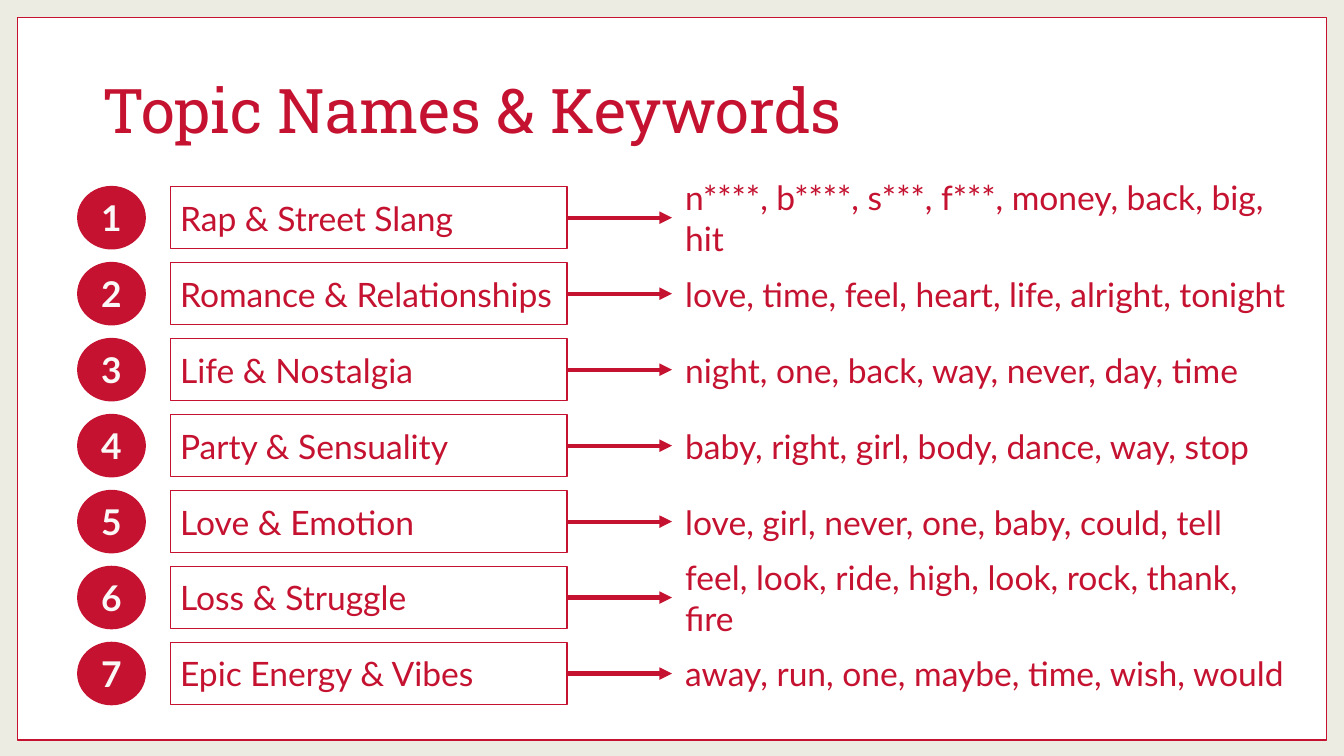
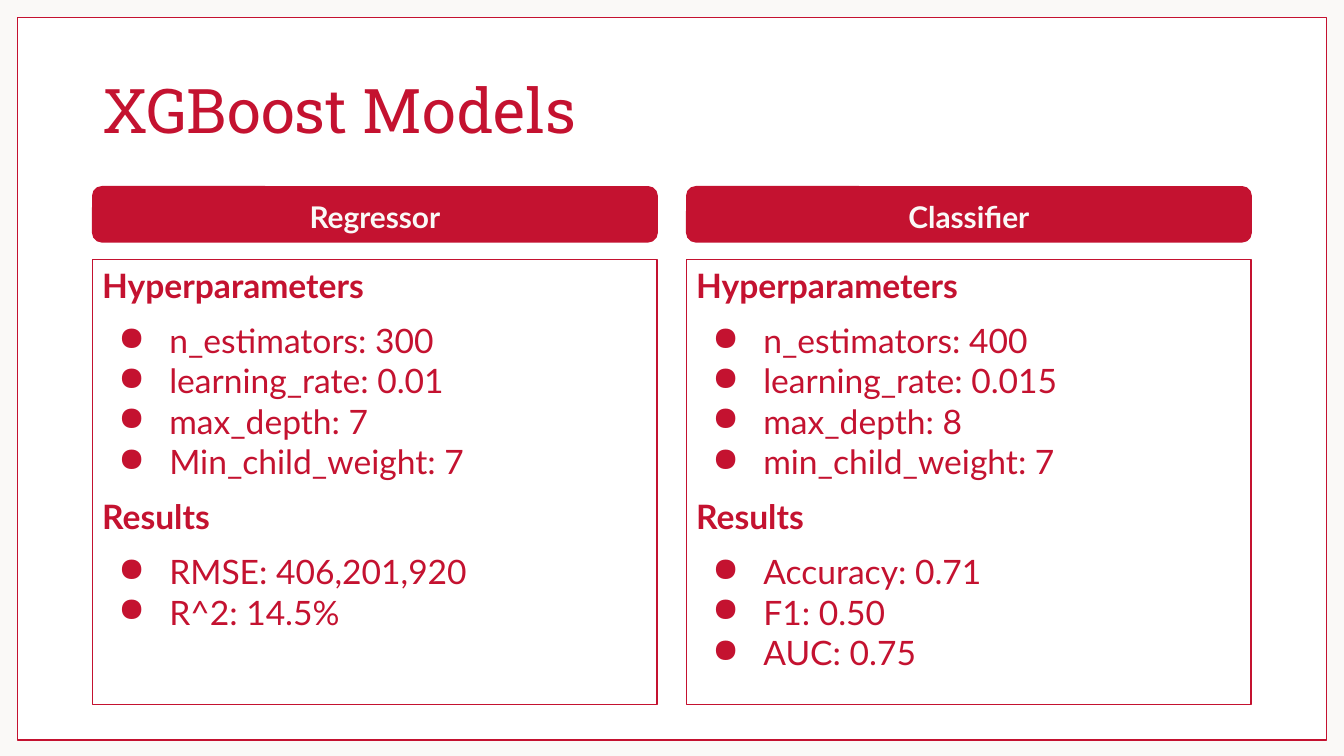
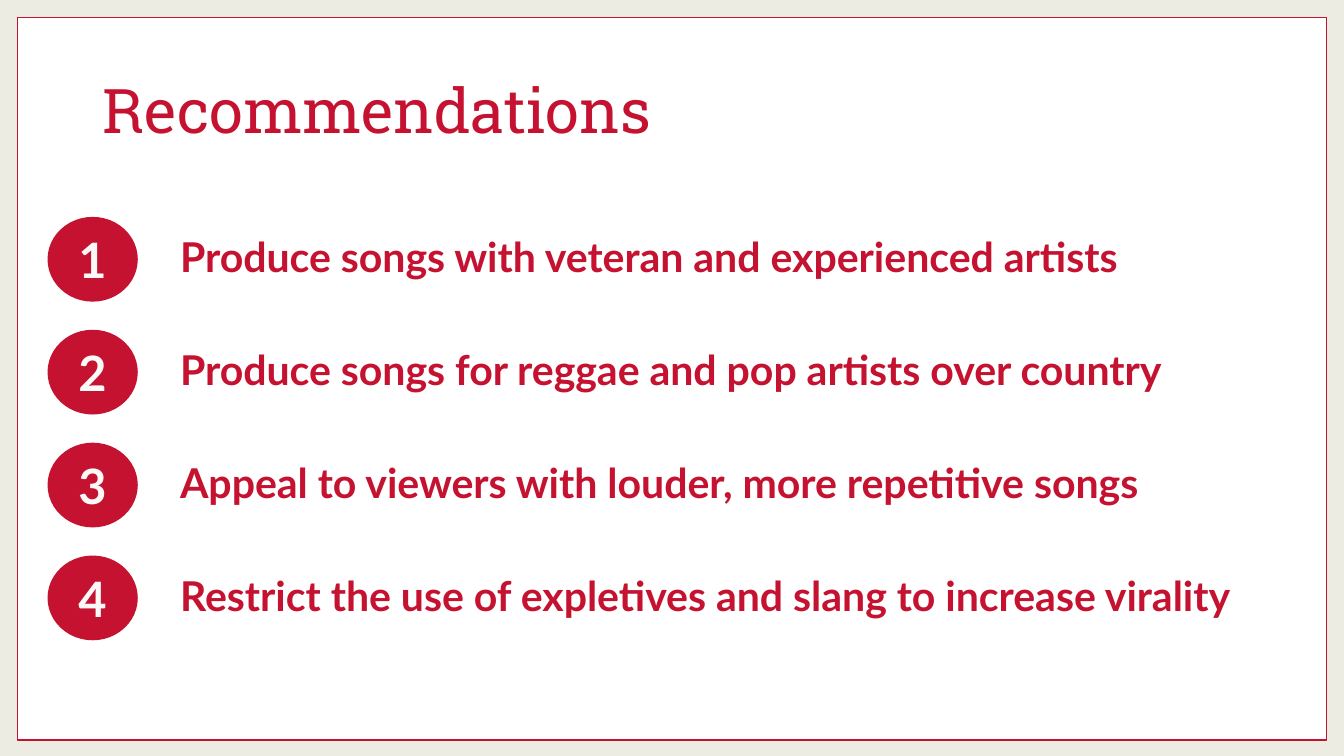
"""Build three slides on song topics, models and recommendations."""
from collections import namedtuple

from lxml import etree
from pptx import Presentation
from pptx import util as u
from pptx.dml.color import RGBColor
from pptx.enum import shapes, text
from pptx.oxml import ns

COLORS = {"red": "C41230", "white": "FFFFFF", "cream": "FAF9F7", "sand": "EDECE2"}
FONTS = {"title": "Roboto Slab", "body": "Lato"}
WIDTH = u.Inches(10)
HEIGHT = WIDTH * 9 // 16
COL, ROW = WIDTH / 100, HEIGHT / 100
SLIM = (0.07, 0.04)

Box = namedtuple("Box", "x y w h")
FRAME = Box(1.3, 2.3, 97.4, 95.6)
TITLE = Box(6.9, 5.3, 86.2, 19.4)
TOPIC_AREA = Box(5.8, 24.7, 91.5, 68.5)
MODEL_AREA = Box(6.9, 24.7, 86.2, 68.5)
ADVICE_AREA = Box(3.6, 28.8, 93.6, 55.8)

TOPICS = [
    ("Rap & Street Slang", "n****, b****, s***, f***, money, back, big, hit"),
    ("Romance & Relationships", "love, time, feel, heart, life, alright, tonight"),
    ("Life & Nostalgia", "night, one, back, way, never, day, time"),
    ("Party & Sensuality", "baby, right, girl, body, dance, way, stop"),
    ("Love & Emotion", "love, girl, never, one, baby, could, tell"),
    ("Loss & Struggle", "feel, look, ride, high, look, rock, thank, fire"),
    ("Epic Energy & Vibes", "away, run, one, maybe, time, wish, would"),
]
MODELS = {
    "Regressor": {
        "Hyperparameters": ["n_estimators: 300", "learning_rate: 0.01",
                            "max_depth: 7", "Min_child_weight: 7"],
        "Results": ["RMSE: 406,201,920", "R^2: 14.5%"],
    },
    "Classifier": {
        "Hyperparameters": ["n_estimators: 400", "learning_rate: 0.015",
                            "max_depth: 8", "min_child_weight: 7"],
        "Results": ["Accuracy: 0.71", "F1: 0.50", "AUC: 0.75"],
    },
}
ADVICE = [
    "Produce songs with veteran and experienced artists",
    "Produce songs for reggae and pop artists over country",
    "Appeal to viewers with louder, more repetitive songs",
    "Restrict the use of expletives and slang to increase virality",
]


def rgb(name):
    """Return the named colour."""
    return RGBColor.from_string(COLORS[name])


def emu(box):
    """Turn grid columns and rows into slide lengths."""
    return [round(n * unit) for n, unit in zip(box, (COL, ROW, COL, ROW))]


def split_rows(box, n, gap):
    """Divide a box into n equal rows."""
    h = (box.h - gap * (n - 1)) / n
    return [Box(box.x, box.y + i * (h + gap), box.w, h) for i in range(n)]


def split_cols(box, n, gap):
    """Divide a box into n equal columns."""
    w = (box.w - gap * (n - 1)) / n
    return [Box(box.x + i * (w + gap), box.y, w, box.h) for i in range(n)]


def add_box(slide, box, kind=shapes.MSO_SHAPE.RECTANGLE, fill=None, width=0.75):
    """Add a red-outlined shape, filled when a colour is named."""
    sp = slide.shapes.add_shape(kind, *emu(box))
    sp.shadow.inherit = False
    if fill:
        sp.fill.solid()
        sp.fill.fore_color.rgb = rgb(fill)
    else:
        sp.fill.background()
    sp.line.color.rgb = rgb("red")
    sp.line.width = u.Pt(width)
    return sp


def set_frame(sp, insets=SLIM, anchor=text.MSO_ANCHOR.MIDDLE):
    """Set wrapping, insets and anchor, and return the text frame."""
    tf = sp.text_frame
    tf.word_wrap = True
    tf.margin_left = tf.margin_right = u.Inches(insets[0])
    tf.margin_top = tf.margin_bottom = u.Inches(insets[1])
    tf.vertical_anchor = anchor
    return tf


def write(p, words, size, color="red", bold=False, font="body",
          align=text.PP_ALIGN.LEFT, before=0, spacing=1.0):
    """Fill a paragraph with one styled run."""
    p.alignment = align
    p.space_before = u.Pt(before)
    p.line_spacing = spacing
    r = p.add_run()
    r.text = words
    r.font.name = FONTS[font]
    r.font.size = u.Pt(size)
    r.font.bold = bold
    r.font.color.rgb = rgb(color)


def add_label(slide, box, words, size, insets, **style):
    """Add a plain text box with one paragraph."""
    sp = slide.shapes.add_textbox(*emu(box))
    write(set_frame(sp, insets).paragraphs[0], words, size, **style)
    return sp


def add_badge(slide, box, number, size, inset):
    """Add a numbered red ellipse."""
    sp = add_box(slide, box, shapes.MSO_SHAPE.OVAL, "red", 0.85)
    write(set_frame(sp, (inset, inset)).paragraphs[0], str(number), size,
          "cream", True, align=text.PP_ALIGN.CENTER)


def add_arrow(slide, start, end):
    """Join the right side of one shape to the left side of another."""
    sp = slide.shapes.add_connector(shapes.MSO_CONNECTOR.STRAIGHT, 0, 0, 0, 0)
    sp.begin_connect(start, 3)
    sp.end_connect(end, 1)
    sp.line.color.rgb = rgb("red")
    sp.line.width = u.Pt(2.25)
    etree.SubElement(sp.line._get_or_add_ln(), ns.qn("a:tailEnd"), type="triangle")
    etree.SubElement(sp._element.spPr, ns.qn("a:effectLst"))


def add_bullet(p):
    """Give a paragraph a hanging red dot."""
    pPr = p._p.get_or_add_pPr()
    pPr.set("marL", str(u.Inches(0.5)))
    pPr.set("indent", str(u.Inches(-0.38)))
    clr = etree.SubElement(pPr, ns.qn("a:buClr"))
    etree.SubElement(clr, ns.qn("a:srgbClr"), val=COLORS["red"])
    etree.SubElement(pPr, ns.qn("a:buChar"), char="●")


def add_slide(prs, title, background):
    """Add a slide with its background, framed panel and title."""
    slide = prs.slides.add_slide(prs.slide_layouts[6])
    slide.background.fill.solid()
    slide.background.fill.fore_color.rgb = rgb(background)
    add_box(slide, FRAME, fill="white")
    add_label(slide, TITLE, title, 33, SLIM, font="title", spacing=0.9)
    return slide


def add_topic(slide, box, number, name, keywords):
    """Place a badge, a named box and an arrow to its keywords in a row."""
    add_badge(slide, box._replace(w=5), number, 19, 0.1)
    sp = add_box(slide, box._replace(x=box.x + 6.9, w=29.5))
    write(set_frame(sp).paragraphs[0], name, 18, before=8)
    words = add_label(slide, box._replace(x=box.x + 44.2, w=box.w - 44.2),
                      keywords, 18, (0.1, 0.1))
    add_arrow(slide, sp, words)


def add_model(slide, box, name, sections):
    """Place a header bar above a panel of bulleted sections."""
    bar = add_box(slide, box._replace(h=7.3),
                  shapes.MSO_SHAPE.ROUNDED_RECTANGLE, "red")
    write(set_frame(bar, (0.1, 0.1)).paragraphs[0], name, 16, "cream", True,
          align=text.PP_ALIGN.CENTER, before=8, spacing=1.15)
    panel = add_box(slide, box._replace(y=box.y + 9.6, h=box.h - 9.6))
    tf = set_frame(panel, anchor=text.MSO_ANCHOR.TOP)
    p = tf.paragraphs[0]
    for heading, items in sections.items():
        if p.runs:
            p = tf.add_paragraph()
        write(p, heading, 18, bold=True, before=8)
        for i, item in enumerate(items):
            p = tf.add_paragraph()
            write(p, item, 18, before=0 if i else 8)
            add_bullet(p)


def add_advice(slide, box, number, words):
    """Place a badge and a bold sentence in a row."""
    add_badge(slide, box._replace(w=6.6), number, 26.1, 0.11)
    add_label(slide, box._replace(x=box.x + 8.7, w=box.w - 8.7), words, 22,
              (0.11, 0.11), bold=True, before=9.1, spacing=0.9)


def main():
    """Build and save the slides."""
    prs = Presentation()
    prs.slide_width, prs.slide_height = WIDTH, HEIGHT

    slide = add_slide(prs, "Topic Names & Keywords", "sand")
    rows = split_rows(TOPIC_AREA, len(TOPICS), 1.85)
    for i, (row, topic) in enumerate(zip(rows, TOPICS), 1):
        add_topic(slide, row, i, *topic)

    slide = add_slide(prs, "XGBoost Models", "cream")
    cols = split_cols(MODEL_AREA, len(MODELS), 2.2)
    for col, model in zip(cols, MODELS.items()):
        add_model(slide, col, *model)

    slide = add_slide(prs, "Recommendations", "sand")
    rows = split_rows(ADVICE_AREA, len(ADVICE), 3.93)
    for i, (row, words) in enumerate(zip(rows, ADVICE), 1):
        add_advice(slide, row, i, words)

    prs.save("out.pptx")


if __name__ == "__main__":
    main()
